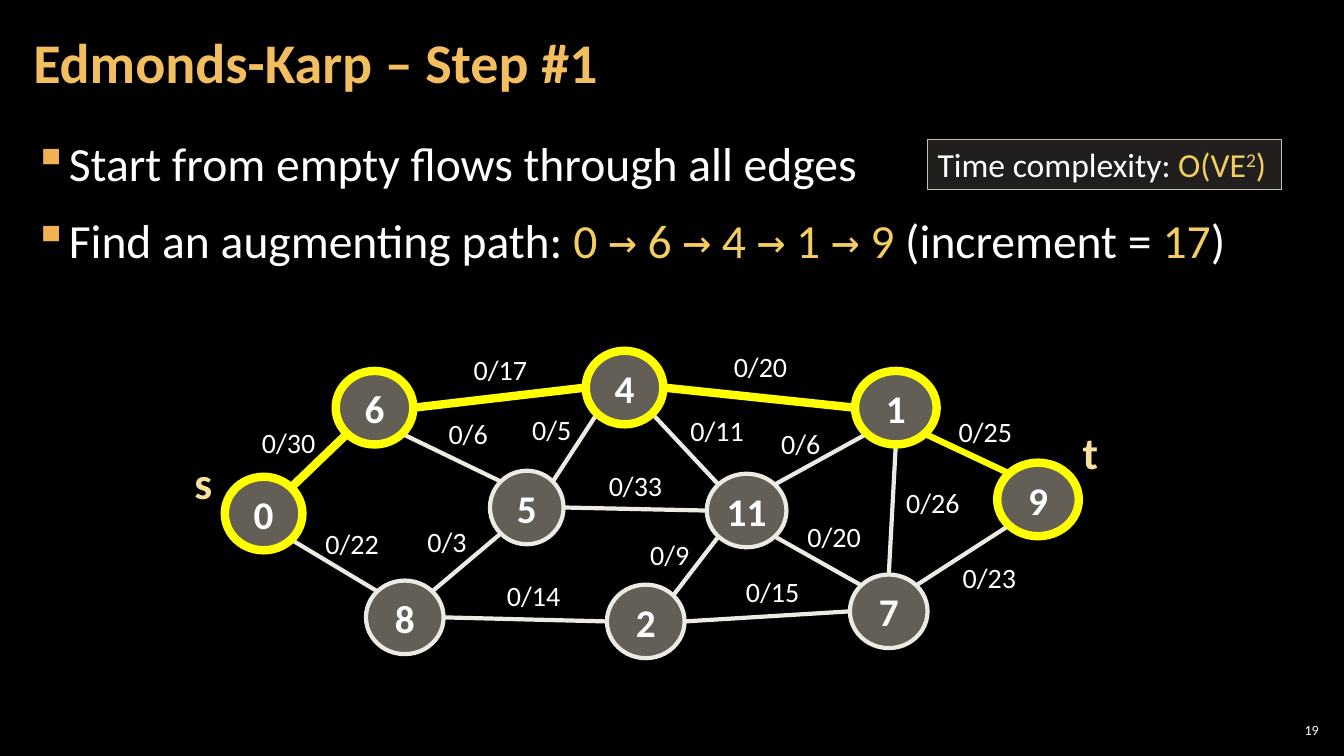
from lxml import etree
from pptx import Presentation
from pptx.dml.color import RGBColor
from pptx.enum.shapes import MSO_CONNECTOR, MSO_SHAPE
from pptx.enum.text import MSO_ANCHOR, PP_ALIGN
from pptx.oxml.ns import qn
from pptx.util import Emu, Inches, Pt

COLORS = {
    "background": "000000", "text": "FFFFFF", "title": "F3BE60", "bullet": "F2B254",
    "accent": "F3CD60", "terminal": "F8E19F", "path": "FFFF00", "edge": "ECEAE3",
    "node": "C7BFAC", "box": "D9D5C7",
}
FONT, ARROW_FONT = "Calibri", "DejaVu Sans Mono"
WIDTH, HEIGHT = 13.33, 7.5
COLUMNS, ROWS = 92, 32
NODE_HEIGHT, LABEL_HEIGHT = 7.3, 4.4

AUGMENTING_PATH = ["0", "6", "4", "1", "9"]
NODES = {
    "0": (4.3, 13.3, 7.7), "6": (15.3, 2.8, 7.7), "4": (40.1, 0.8, 7.7),
    "1": (66.8, 2.8, 8.1), "9": (80.9, 11.9, 8.1), "5": (30.6, 12.7, 7.3),
    "11": (52.1, 13, 7.9), "8": (18.3, 23.6, 7.7), "2": (42.2, 24, 7.7),
    "7": (66.3, 23, 7.7),
}
EDGES = [
    ("0", "NE", "6", "SW", 30, 7, 7.7),
    ("0", "SE", "8", "NW", 22, 13.3, 17.7),
    ("6", "E", "4", "W", 17, 28, 0.5),
    ("6", "SE", "5", "NW", 6, 25.5, 6.8),
    ("4", "SW", "5", "NE", 5, 33.8, 6.4),
    ("4", "SE", "11", "NW", 11, 49.5, 6.5),
    ("4", "E", "1", "W", 20, 53.8, 0.2),
    ("5", "E", "11", "W", 33, 41.4, 12),
    ("5", "SW", "8", "NE", 3, 23.4, 17.5),
    ("8", "E", "2", "W", 14, 31.3, 22.9),
    ("2", "NE", "11", "SW", 9, 45.5, 18.8),
    ("11", "NE", "1", "SW", 6, 58.5, 7.8),
    ("11", "SE", "7", "NW", 20, 61.1, 17),
    ("2", "E", "7", "W", 15, 55, 22.5),
    ("1", "S", "7", "N", 26, 70.9, 13.7),
    ("1", "SE", "9", "NW", 25, 76.1, 6.6),
    ("7", "NE", "9", "SW", 23, 76.5, 21.1),
]
TERMINALS = [("s", 0.3, 10.6, 3.8), ("t", 88.4, 7.6, 3.6)]
TERMINAL_HEIGHT = 6.4


def rgb(name):
    return RGBColor.from_string(COLORS[name])


def inches(box):
    return [Inches(v) for v in box]


def style(p, size, color="text", bold=False, align=PP_ALIGN.LEFT):
    p.font.name, p.font.size, p.font.bold = FONT, Pt(size), bold
    p.font.color.rgb = rgb(color)
    p.alignment = align


def set_frame(tf, x, y, anchor=MSO_ANCHOR.TOP, wrap=True):
    tf.margin_left = tf.margin_right = Inches(x)
    tf.margin_top = tf.margin_bottom = Inches(y)
    tf.vertical_anchor, tf.word_wrap = anchor, wrap


def add_run(p, text, color="text", font=FONT):
    r = p.add_run()
    r.text = text
    r.font.name = font
    r.font.color.rgb = rgb(color)
    return r


def paint(sp, fill, alpha, line, width):
    sp.shadow.inherit = False
    sp.fill.solid()
    sp.fill.fore_color.rgb = rgb(fill)
    color = sp.fill._xPr.find(qn("a:solidFill"))[0]
    etree.SubElement(color, qn("a:alpha")).set("val", str(alpha * 1000))
    sp.line.color.rgb = rgb(line)
    sp.line.width = Pt(width)


def add_label(shapes, box, text, size, color="text", bold=False):
    tf = shapes.add_textbox(*inches(box)).text_frame
    set_frame(tf, 0.1, 0.05, wrap=False)
    tf.text = text
    style(tf.paragraphs[0], size, color, bold)


def add_title(slide, box):
    sp = slide.shapes.title
    sp.left, sp.top, sp.width, sp.height = inches(box)
    tf = sp.text_frame
    set_frame(tf, 0.12, 0.04, MSO_ANCHOR.MIDDLE)
    tf.text = "Edmonds-Karp – Step #1"
    p = tf.paragraphs[0]
    style(p, 40, "title", True)
    p.line_spacing = 0.9


def format_bullet(p):
    style(p, 34)
    p.line_spacing = 1.05
    p.space_before = p.space_after = Pt(6)
    pPr = p._p.get_or_add_pPr()
    pPr.set("marL", str(Inches(0.33)))
    pPr.set("indent", str(-Inches(0.33)))
    color = etree.Element(qn("a:buClr"))
    etree.SubElement(color, qn("a:srgbClr")).set("val", COLORS["bullet"])
    char = etree.Element(qn("a:buChar"))
    char.set("char", "▪")
    at = list(pPr).index(pPr.find(qn("a:spcAft"))) + 1
    pPr[at:at] = [color, char]


def add_body(slide, box):
    tf = slide.shapes.add_textbox(*inches(box)).text_frame
    set_frame(tf, 0.12, 0.04)
    start, find = tf.paragraphs[0], tf.add_paragraph()
    add_run(start, "Start from empty flows through all edges")
    add_run(find, "Find an augmenting path: ")
    for i, node in enumerate(AUGMENTING_PATH):
        if i:
            add_run(find, " ", "accent")
            add_run(find, "→", "accent", ARROW_FONT)
            add_run(find, " ", "accent")
        add_run(find, node, "accent")
    add_run(find, " (increment = ")
    add_run(find, "17", "accent")
    add_run(find, ")")
    for p in tf.paragraphs:
        format_bullet(p)


def add_complexity(slide, box):
    sp = slide.shapes.add_shape(MSO_SHAPE.RECTANGLE, *inches(box))
    paint(sp, "box", 15, "node", 0.75)
    set_frame(sp.text_frame, 0.1, 0.05, wrap=False)
    p = sp.text_frame.paragraphs[0]
    style(p, 24)
    add_run(p, "Time complexity: ")
    add_run(p, "O(VE", "accent")
    add_run(p, "2", "accent").font._element.set("baseline", "30000")
    add_run(p, ")", "accent")


def site(node, direction):
    left, top, width = NODES[node]
    reach = 0.5 if len(direction) == 1 else 0.5 ** 1.5
    dx = ("E" in direction) - ("W" in direction)
    dy = ("S" in direction) - ("N" in direction)
    return left + width * (0.5 + dx * reach), top + NODE_HEIGHT * (0.5 + dy * reach)


def add_graph(slide, box):
    left, top, width, height = box
    shapes = slide.shapes.add_group_shape().shapes
    path_edges = list(zip(AUGMENTING_PATH, AUGMENTING_PATH[1:]))

    def point(col, row):
        return left + col * width / COLUMNS, top + row * height / ROWS

    def cell(col, row, cols, rows):
        return *point(col, row), cols * width / COLUMNS, rows * height / ROWS

    for a, a_site, b, b_site, *_ in EDGES:
        ends = point(*site(a, a_site)) + point(*site(b, b_site))
        line = shapes.add_connector(MSO_CONNECTOR.STRAIGHT, *inches(ends))
        on_path = (a, b) in path_edges
        line.line.color.rgb = rgb("path" if on_path else "edge")
        line.line.width = Pt(4.5 if b == "9" and on_path else 6 if on_path else 3)
        etree.SubElement(line._element.spPr, qn("a:effectLst"))

    for node, (col, row, cols) in NODES.items():
        sp = shapes.add_shape(MSO_SHAPE.OVAL, *inches(cell(col, row, cols, NODE_HEIGHT)))
        on_path = node in AUGMENTING_PATH
        paint(sp, "node", 50, "path" if on_path else "edge", 6 if on_path else 3)
        set_frame(sp.text_frame, 0.04, 0.05, MSO_ANCHOR.MIDDLE)
        sp.text_frame.text = node
        style(sp.text_frame.paragraphs[0], 28, bold=True, align=PP_ALIGN.CENTER)

    for *_, capacity, col, row in EDGES:
        cols = 5.9 if capacity < 10 else 7.4
        add_label(shapes, cell(col, row, cols, LABEL_HEIGHT), f"0/{capacity}", 20)
    for name, col, row, cols in TERMINALS:
        add_label(shapes, cell(col, row, cols, TERMINAL_HEIGHT), name, 32, "terminal", True)


def add_slide_number(slide, box):
    tf = slide.shapes.add_textbox(*inches(box)).text_frame
    set_frame(tf, 0.04, 0.04, MSO_ANCHOR.MIDDLE)
    tf.text = "19"
    style(tf.paragraphs[0], 10, align=PP_ALIGN.RIGHT)


def main():
    prs = Presentation()
    prs.slide_width, prs.slide_height = Inches(WIDTH), Inches(HEIGHT)
    slide = prs.slides.add_slide(prs.slide_layouts[5])
    slide.background.fill.solid()
    slide.background.fill.fore_color.rgb = rgb("background")
    add_slide_number(slide, (12.65, 7.14, 0.47, 0.21))
    add_body(slide, (0.21, 1.26, 12.91, 6.09))
    add_title(slide, (0.21, 0.04, 10.47, 1.21))
    add_graph(slide, (1.8, 3.4, 9.2, 3.2))
    add_complexity(slide, (9.2, 1.38, 3.51, 0.5))
    prs.save("out.pptx")


if __name__ == "__main__":
    main()
